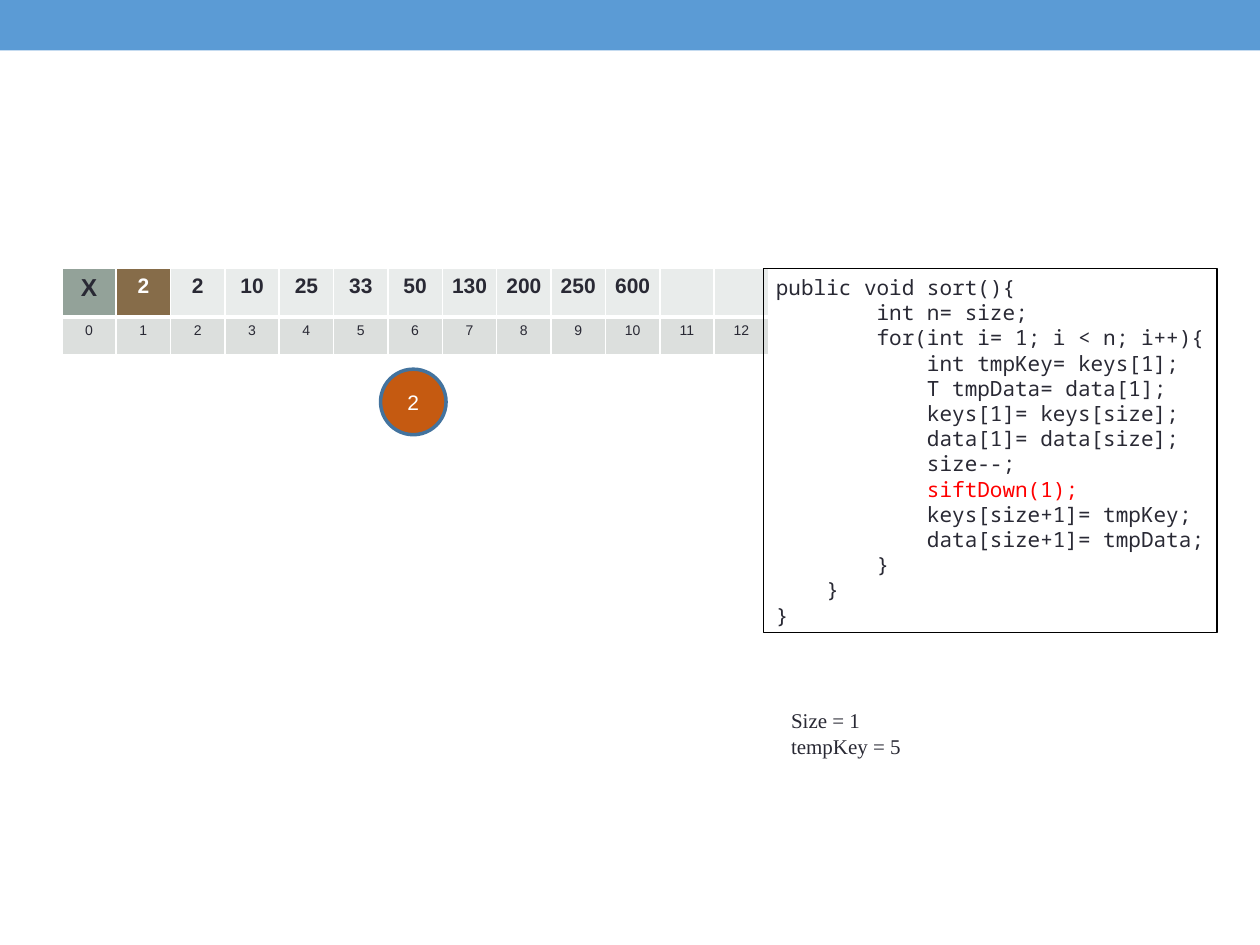
from lxml import etree
from pptx import Presentation
from pptx.dml.color import RGBColor
from pptx.enum.shapes import MSO_SHAPE
from pptx.enum.text import MSO_ANCHOR, PP_ALIGN
from pptx.oxml.ns import qn
from pptx.util import Inches, Pt

RECTANGLE, OVAL = MSO_SHAPE.RECTANGLE, MSO_SHAPE.OVAL
CENTER, LEFT = PP_ALIGN.CENTER, PP_ALIGN.LEFT
TOP, MIDDLE = MSO_ANCHOR.TOP, MSO_ANCHOR.MIDDLE

COLORS = {
    "band": "5B9BD5", "text": "292934", "white": "FFFFFF", "black": "000000",
    "unused": "93A299", "sorted": "866C49", "key": "E9ECEB", "index": "DCDFDD",
    "node": "C55A11", "node_line": "43739E", "highlight": "FF0000",
}
KEYS = ["X", "2", "2", "10", "25", "33", "50", "130", "200", "250", "600", "", ""]
KEY_FILLS = {0: "unused", 1: "sorted"}
CODE = """public void sort(){
        int n= size;
        for(int i= 1; i < n; i++){
            int tmpKey= keys[1];
            T tmpData= data[1];
            keys[1]= keys[size];
            data[1]= data[size];
            size--;
            siftDown(1);
            keys[size+1]= tmpKey;
            data[size+1]= tmpData;
        }
    }
}"""
CURRENT_CALL = "siftDown(1);"


def rgb(name):
    return RGBColor.from_string(COLORS[name])


def write_text(text_frame, text, size, font_name, color="text", bold=False, align=LEFT):
    text_frame.text = text
    for paragraph in text_frame.paragraphs:
        paragraph.alignment = align
        for run in paragraph.runs:
            run.font.size = Pt(size)
            run.font.name = font_name
            run.font.bold = bold
            run.font.color.rgb = rgb(color)


def add_box(slide, kind, left, top, width, height, fill=None, line=None, line_width=1):
    shape = slide.shapes.add_shape(
        kind, Inches(left), Inches(top), Inches(width), Inches(height))
    shape.shadow.inherit = False
    if fill:
        shape.fill.solid()
        shape.fill.fore_color.rgb = rgb(fill)
    else:
        shape.fill.background()
    if line:
        shape.line.color.rgb = rgb(line)
        shape.line.width = Pt(line_width)
    else:
        shape.line.fill.background()
    return shape


def set_cell_borders(cell, widths):
    """Draw white borders; widths maps a side (L, R, T, B) to points."""
    properties = cell._tc.get_or_add_tcPr()
    for side, width in widths.items():
        line = etree.SubElement(properties, qn(f"a:ln{side}"), w=str(Pt(width)))
        fill = etree.SubElement(line, qn("a:solidFill"))
        etree.SubElement(fill, qn("a:srgbClr"), val=COLORS["white"])


def fill_cell(cell, text, size, fill, color="text", bold=False, top=0.96, bottom=0.96):
    set_cell_borders(cell, {"L": 0.96, "R": 0.96, "T": top, "B": bottom})
    cell.fill.solid()
    cell.fill.fore_color.rgb = rgb(fill)
    cell.margin_left = cell.margin_right = Inches(0.07)
    cell.margin_top = cell.margin_bottom = Inches(0.05 if text else 0.04)
    write_text(cell.text_frame, text, size, "Arial", color, bold, CENTER)


def add_heap_table(slide):
    table = slide.shapes.add_table(
        2, len(KEYS), Inches(0.49), Inches(2.13), Inches(5.61), Inches(0.6)).table
    table.first_row = table.horz_banding = False
    for index, key in enumerate(KEYS):
        fill_cell(table.cell(0, index), key, 14 if index == 0 else 12,
                  KEY_FILLS.get(index, "key"), "white" if index == 1 else "text",
                  bold=True, bottom=3)
        fill_cell(table.cell(1, index), str(index), 8, "index", top=3)


def add_node(slide, key):
    node = add_box(slide, OVAL, 3.02, 2.93, 0.52, 0.52, "node", "node_line", 2)
    node.text_frame.vertical_anchor = MIDDLE
    write_text(node.text_frame, key, 12, "Arial", "white", align=CENTER)


def add_code(slide):
    text_frame = add_box(
        slide, RECTANGLE, 6.06, 2.13, 3.6, 2.89, line="black", line_width=0.75).text_frame
    text_frame.word_wrap = False
    text_frame.vertical_anchor = TOP
    write_text(text_frame, CODE, 12, "Noto Sans Mono")
    for paragraph in text_frame.paragraphs:
        if paragraph.text.strip() == CURRENT_CALL:
            paragraph.runs[0].font.color.rgb = rgb("highlight")


def add_variables(slide):
    text_box = slide.shapes.add_textbox(
        Inches(6.18), Inches(5.57), Inches(1.07), Inches(0.5))
    text_box.text_frame.word_wrap = False
    write_text(text_box.text_frame, "Size = 1\ntempKey = 5", 12, "Times New Roman")


def main():
    presentation = Presentation()
    presentation.slide_width, presentation.slide_height = Inches(10), Inches(7.5)
    slide = presentation.slides.add_slide(presentation.slide_layouts[6])
    add_box(slide, RECTANGLE, 0, 0, 10, 0.4, "band")
    add_heap_table(slide)
    add_node(slide, "2")
    add_code(slide)
    add_variables(slide)
    presentation.save("out.pptx")


if __name__ == "__main__":
    main()
